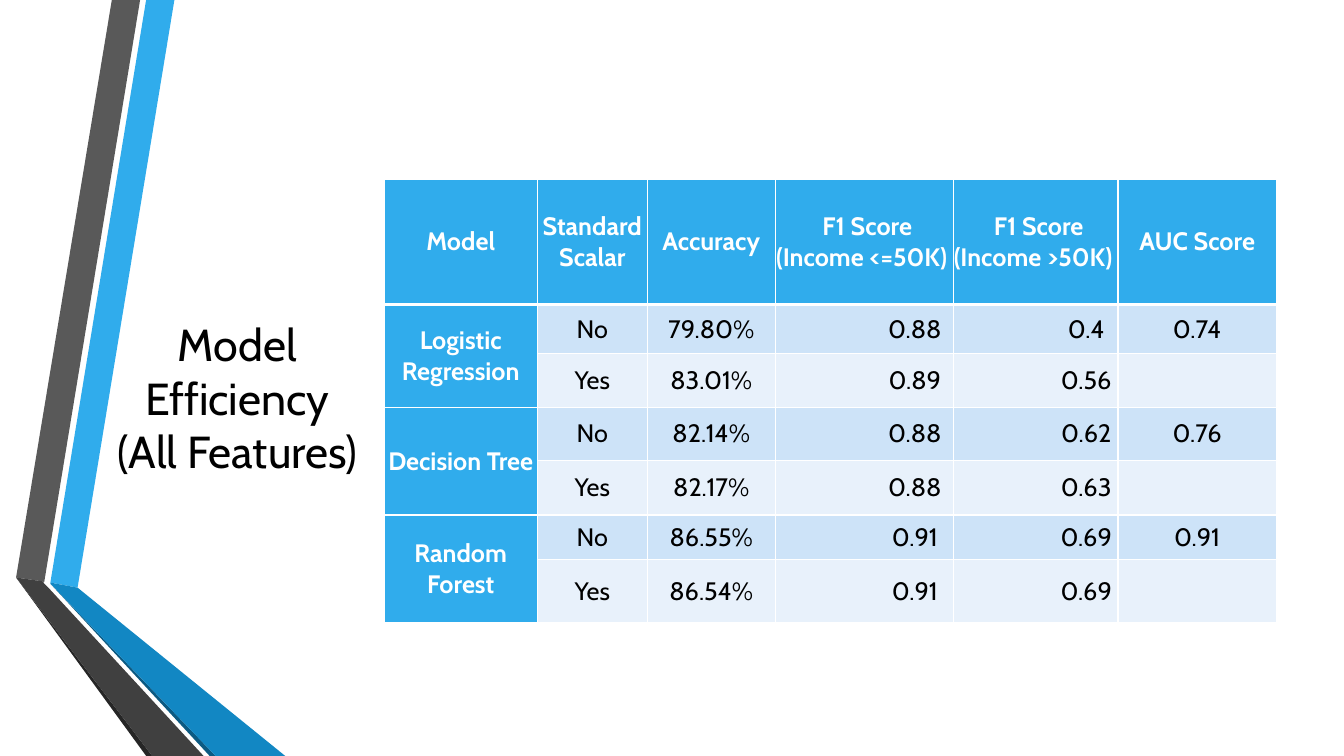
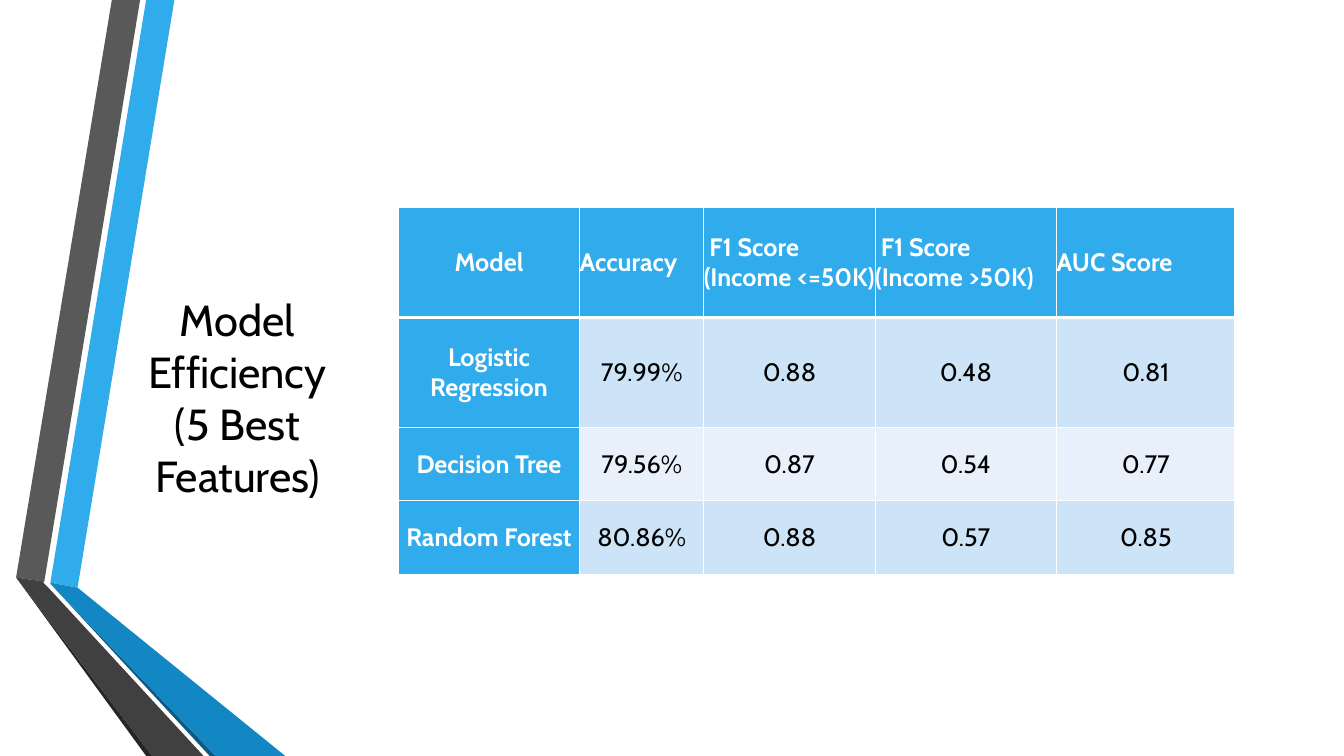
from lxml.etree import SubElement
from pptx import Presentation
from pptx.dml.color import RGBColor
from pptx.enum.text import MSO_ANCHOR, MSO_AUTO_SIZE, PP_ALIGN
from pptx.oxml import parse_xml
from pptx.oxml.ns import nsdecls, qn
from pptx.util import Pt

PX = 9144  # 100 px to the inch
FONT = "Cabin"
BLUE, WHITE, BLACK = "30ACEC", "FFFFFF", "000000"
SHADES = "E8F1FB", "CDE3F8"
BANDS = [
    (BLUE, [(50, 578), (77, 583), (173, 0), (145, 0)]),
    ("595959", [(139, 0), (111, 0), (16, 573), (44, 577)]),
    ("262626", [(16, 573), (145, 750), (151, 750)]),
    ("0C5A82", [(50, 579), (208, 750), (214, 750)]),
    ("1287C3", [(50, 579), (214, 750), (283, 750), (77, 583), (50, 578)]),
    ("404040", [(202, 750), (48, 583), (43, 578), (44, 577), (16, 573),
                (151, 750)]),
]
SCORES = [" F1 Score (Income <=50K) ", " F1 Score (Income >50K) ", "AUC Score"]


def color(code):
    return RGBColor.from_string(code)


class Deck:
    def __init__(self):
        self.prs = Presentation()
        self.prs.slide_width, self.prs.slide_height = 1333 * PX, 750 * PX
        self.layout = self.prs.slide_layouts[5]
        self.slide = None

    def page(self, title, size):
        self.slide = self.prs.slides.add_slide(self.layout)
        box = self.slide.shapes.title
        box.left, box.top, box.width, box.height = (
            n * PX for n in (88, 298, 295, 192))
        frame = box.text_frame
        frame.text = title
        frame.word_wrap = True
        frame.auto_size = MSO_AUTO_SIZE.NONE
        frame.vertical_anchor = MSO_ANCHOR.MIDDLE
        self.style(frame, size, BLACK)

    def style(self, frame, size, ink, bold=False, align=PP_ALIGN.CENTER):
        for para in frame.paragraphs:
            para.alignment = align
            for run in para.runs:
                font = run.font
                font.name, font.size, font.bold = FONT, Pt(size), bold
                font.color.rgb = color(ink)

    def bands(self):
        """Draw the bands on the current slide, then move them to the layout."""
        for fill, points in BANDS:
            pen = self.slide.shapes.build_freeform(*points[0], scale=PX)
            pen.add_line_segments(points[1:])
            band = pen.convert_to_shape()
            band.shadow.inherit = False
            band.fill.solid()
            band.fill.fore_color.rgb = color(fill)
            band.line.fill.background()
            self.layout.shapes.element.append(band.element)

    def edges(self, cell, top, bottom):
        """Give a cell white borders, with top and bottom widths in points."""
        props = cell._tc.get_or_add_tcPr()
        sides = ("L", 1), ("R", 1), ("T", top), ("B", bottom)
        for spot, (side, width) in enumerate(sides):
            line = parse_xml(f'<a:ln{side} {nsdecls("a")} w="{Pt(width)}"/>')
            fill = SubElement(line, qn("a:solidFill"))
            SubElement(fill, qn("a:srgbClr"), val=WHITE)
            props.insert(spot, line)

    def cell(self, cell, text, fill, ink, align=PP_ALIGN.CENTER, indent=0):
        cell.fill.solid()
        cell.fill.fore_color.rgb = color(fill)
        cell.vertical_anchor = MSO_ANCHOR.MIDDLE
        cell.margin_left = cell.margin_right = 0
        cell.margin_top = cell.margin_bottom = 0
        if text:
            cell.text_frame.text = text
            self.style(cell.text_frame, 18, ink, ink == WHITE, align)
        if indent:
            props = cell.text_frame.paragraphs[0]._p.get_or_add_pPr()
            props.set("marL", str(indent * PX))

    def table(self, left, top, cols, highs, rows, head=PP_ALIGN.CENTER,
              inset=()):
        """Fill a table; a row without a model joins the row above.

        head aligns the header; inset lists the columns with indented values.
        """
        grid = self.slide.shapes.add_table(
            len(rows), len(cols), left * PX, top * PX,
            sum(cols) * PX, sum(highs) * PX).table
        for col, width in zip(grid.columns, cols):
            col.width = width * PX
        for row, high in zip(grid.rows, highs):
            row.height = high * PX
        for r, row in enumerate(rows):
            for c, text in enumerate(row):
                cell = grid.cell(r, c)
                if r == 0 or c == 0:
                    align = head if r == 0 and c else PP_ALIGN.CENTER
                    self.cell(cell, text, BLUE, WHITE, align)
                else:
                    indent = 100 if c in inset else 0
                    self.cell(cell, text, SHADES[r % 2], BLACK, indent=indent)
                self.edges(cell, 3 if r == 1 else 1, 3 if r == 0 else 1)
            if not row[0]:
                grid.cell(r - 1, 0).merge(grid.cell(r, 0))


def main():
    deck = Deck()
    deck.page("Model Efficiency\v(All Features)", 32)
    deck.bands()
    deck.table(
        381, 178, [152, 109, 127, 177, 163, 157],
        [124, 49, 53, 53, 54, 44, 63],
        [
            ["Model", "Standard Scalar", "Accuracy", *SCORES],
            ["Logistic Regression", "No", "79.80%", "0.88", "0.4", "0.74"],
            ["", "Yes", "83.01%", "0.89", "0.56", ""],
            ["Decision Tree", "No", "82.14%", "0.88", "0.62", "0.76"],
            ["", "Yes", "82.17%", "0.88", "0.63", ""],
            ["Random Forest", "No", "86.55%", "0.91", "0.69", "0.91"],
            ["", "Yes", "86.54%", "0.91", "0.69", ""],
        ],
        inset=(3, 4))

    deck.page("Model Efficiency\v(5 Best Features)", 31)
    deck.table(
        395, 206, [180, 123, 170, 180, 177], [109, 109, 73, 73],
        [
            ["Model", "Accuracy", *SCORES],
            ["Logistic Regression", "79.99%", "0.88", "0.48", "0.81"],
            ["Decision Tree", "79.56%", "0.87", "0.54", "0.77"],
            ["Random Forest", "80.86%", "0.88", "0.57", "0.85"],
        ],
        head=PP_ALIGN.LEFT)
    deck.prs.save("out.pptx")


if __name__ == "__main__":
    main()
